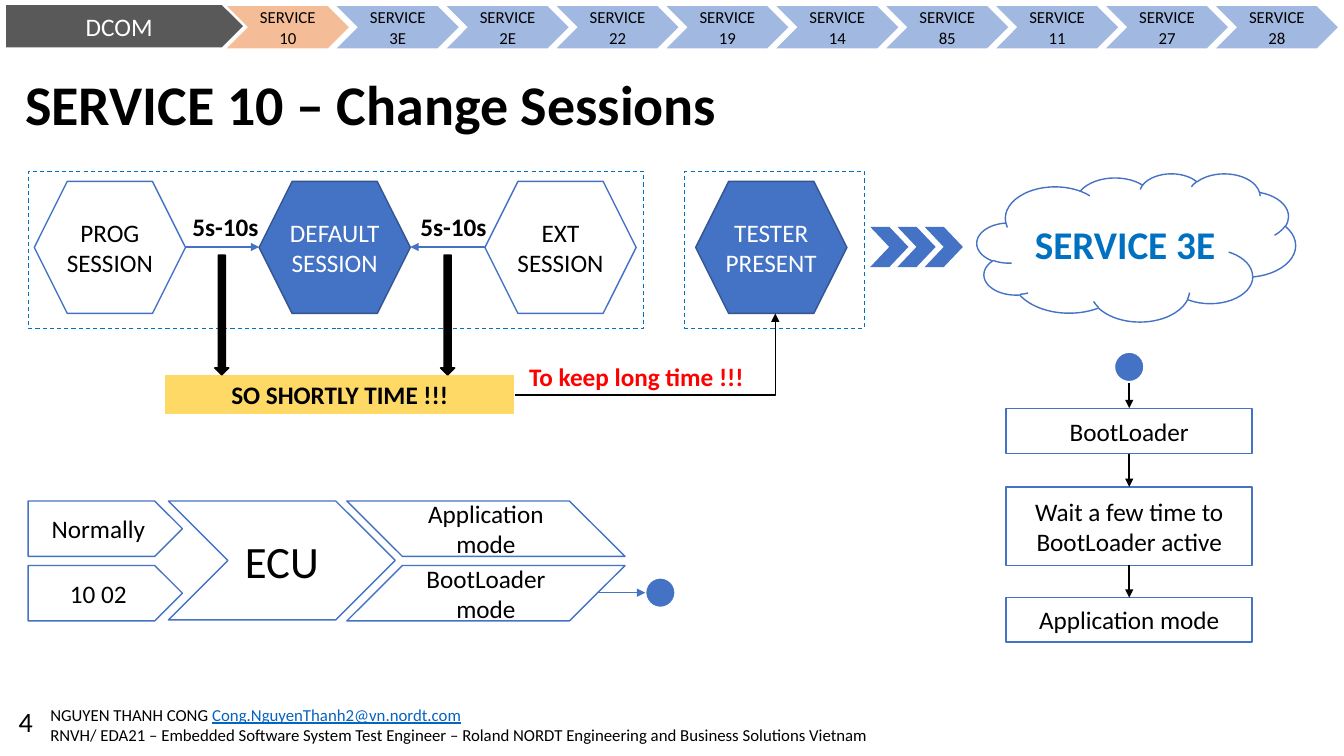
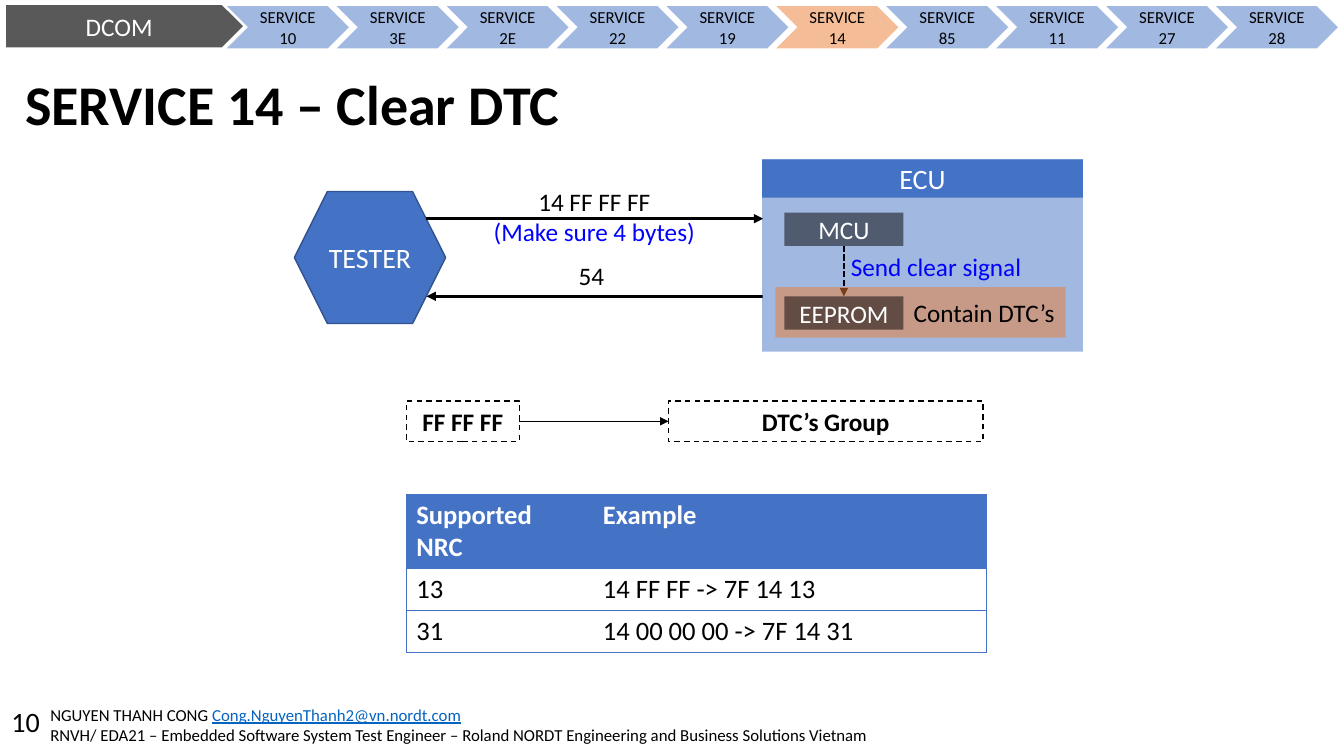
from dataclasses import dataclass
from typing import NamedTuple, Optional

import pptx
import pptx.dml.color
import pptx.enum.dml
import pptx.enum.shapes
import pptx.enum.text
import pptx.oxml.ns
import pptx.util
from lxml import etree

Inches = pptx.util.Inches
Shapes = pptx.enum.shapes.MSO_SHAPE
Connectors = pptx.enum.shapes.MSO_CONNECTOR
Dashes = pptx.enum.dml.MSO_LINE
Align = pptx.enum.text.PP_ALIGN
Anchor = pptx.enum.text.MSO_ANCHOR
qn = pptx.oxml.ns.qn


@dataclass(frozen=True)
class Theme:
    font: str = "Calibri"
    black: str = "000000"
    white: str = "FFFFFF"
    gray: str = "595959"
    blue: str = "4472C4"
    dark_blue: str = "325491"
    bright_blue: str = "0070C0"
    pure_blue: str = "0000FF"
    link: str = "0563C1"
    orange: str = "ED7D31"
    yellow: str = "FFD966"
    red: str = "FF0000"
    small: int = 12
    body: int = 18
    cell: int = 19
    large: int = 20
    cloud: int = 28
    unit: int = 32
    title: int = 40


THEME = Theme()
SERVICES = ("10", "3E", "2E", "22", "19", "14", "85", "11", "27", "28")
TOP, LEFT, BOTTOM, RIGHT = 0, 1, 2, 3


class Box(NamedTuple):
    left: float
    top: float
    width: float
    height: float

    def lengths(self) -> list:
        return [Inches(value) for value in self]


class Point(NamedTuple):
    x: float
    y: float


class Run(NamedTuple):
    text: str
    size: int = THEME.body
    color: str = THEME.black
    bold: bool = False
    underline: bool = False


class Line(NamedTuple):
    color: str
    width: float = 1
    dash: Optional[Dashes] = None


OUTLINE = Line(THEME.blue)
DARK_OUTLINE = Line(THEME.dark_blue)
THIN = Line(THEME.black)
FRAME = Line(THEME.bright_blue, 0.75, Dashes.DASH)
DASHED = Line(THEME.black, 1, Dashes.DASH)


def rgb(color: str) -> pptx.dml.color.RGBColor:
    return pptx.dml.color.RGBColor.from_string(color)


def write_text(text_frame, paragraphs: list[list[Run]], alignment=Align.CENTER) -> None:
    for index, runs in enumerate(paragraphs):
        paragraph = text_frame.paragraphs[0] if index == 0 else text_frame.add_paragraph()
        paragraph.alignment = alignment
        for item in runs:
            run = paragraph.add_run()
            run.text = item.text
            run.font.name = THEME.font
            run.font.size = pptx.util.Pt(item.size)
            run.font.bold = item.bold
            run.font.underline = item.underline
            run.font.color.rgb = rgb(item.color)


def style_line(line_format, line: Line) -> None:
    line_format.color.rgb = rgb(line.color)
    line_format.width = pptx.util.Pt(line.width)
    if line.dash is not None:
        line_format.dash_style = line.dash


def add_shape(slide, kind: Shapes, box: Box, fill: Optional[str] = None,
              line: Optional[Line] = None, runs: tuple[Run, ...] = (),
              opacity: int = 100):
    shape = slide.shapes.add_shape(kind, *box.lengths())
    shape.shadow.inherit = False
    if fill is None:
        shape.fill.background()
    else:
        shape.fill.solid()
        shape.fill.fore_color.rgb = rgb(fill)
        if opacity < 100:
            color = shape.element.spPr.find(qn("a:solidFill"))[0]
            etree.SubElement(color, qn("a:alpha"), val=str(opacity * 1000))
    if line is None:
        shape.line.fill.background()
    else:
        style_line(shape.line, line)
    if runs:
        shape.text_frame.vertical_anchor = Anchor.MIDDLE
        write_text(shape.text_frame, [[run] for run in runs])
    return shape


def add_text(slide, box: Box, paragraphs: list[list[Run]], alignment=Align.LEFT):
    shape = slide.shapes.add_textbox(*box.lengths())
    shape.text_frame.word_wrap = True
    write_text(shape.text_frame, paragraphs, alignment)
    return shape


def add_arrow(slide, begin: Point, end: Point, line: Line, kind=Connectors.STRAIGHT):
    points = [Inches(value) for value in (*begin, *end)]
    connector = slide.shapes.add_connector(kind, *points)
    style_line(connector.line, line)
    properties = connector.element.spPr
    etree.SubElement(properties.find(qn("a:ln")), qn("a:tailEnd"), type="triangle")
    etree.SubElement(properties, qn("a:effectLst"))
    return connector


def add_hexagon(slide, left: float, top: float, words: tuple[str, ...],
                filled: bool = True, size: int = THEME.body) -> None:
    color = THEME.white if filled else THEME.black
    shape = add_shape(slide, Shapes.HEXAGON, Box(left, top, 1.5, 1.31),
                      THEME.blue if filled else THEME.white,
                      DARK_OUTLINE if filled else OUTLINE,
                      tuple(Run(word, size, color) for word in words))
    shape.text_frame.word_wrap = False


def add_service_slide(presentation, number: int, service: str, subject: str):
    slide = presentation.slides.add_slide(presentation.slide_layouts[6])
    add_text(slide, Box(0, 6.94, 0.51, 0.4), [[Run(str(number), THEME.large)]], Align.CENTER)
    add_text(slide, Box(0.4, 6.94, 8.59, 0.4), [
        [Run("NGUYEN THANH CONG ", THEME.small),
         Run("Cong.NguyenThanh2@vn.nordt.com", THEME.small, THEME.link, underline=True)],
        [Run("RNVH/ EDA21 – Embedded Software System Test Engineer – "
             "Roland NORDT Engineering and Business Solutions Vietnam", THEME.small)],
    ])
    title = add_text(slide, Box(0.15, 0.49, 7.72, 0.92),
                     [[Run(f"SERVICE {service} – {subject}", THEME.title, bold=True)]])
    title.text_frame.vertical_anchor = Anchor.BOTTOM
    title.text_frame.paragraphs[0].line_spacing = 0.9
    add_shape(slide, Shapes.PENTAGON, Box(0.06, 0.05, 2.35, 0.42), THEME.gray,
              runs=(Run("DCOM", color=THEME.white),))
    for index, name in enumerate(SERVICES):
        add_shape(slide, Shapes.CHEVRON, Box(2.25 + 1.09 * index, 0.06, 1.21, 0.42),
                  THEME.orange if name == service else THEME.blue,
                  runs=(Run(f"SERVICE {name}", THEME.small),), opacity=50)
    return slide


def add_sessions(slide) -> None:
    add_hexagon(slide, 0.34, 1.8, ("PROG", "SESSION"), filled=False)
    add_hexagon(slide, 2.57, 1.8, ("DEFAULT", "SESSION"))
    add_hexagon(slide, 4.81, 1.8, ("EXT", "SESSION"), filled=False)
    add_hexagon(slide, 6.9, 1.8, ("TESTER", "PRESENT"))
    add_arrow(slide, Point(1.83, 2.45), Point(2.57, 2.45), Line(THEME.blue, 1.5))
    add_arrow(slide, Point(4.81, 2.45), Point(4.07, 2.45), OUTLINE)
    for box in (Box(0.28, 1.7, 6.1, 1.56), Box(6.79, 1.7, 1.78, 1.56)):
        add_shape(slide, Shapes.RECTANGLE, box, line=FRAME)
    add_shape(slide, Shapes.RECTANGLE, Box(1.63, 3.71, 3.48, 0.41), THEME.yellow,
              Line(THEME.white, 1.5), (Run("SO SHORTLY TIME !!!", bold=True),))
    for label_left, arrow_left in ((1.81, 2.13), (4.07, 4.37)):
        add_text(slide, Box(label_left, 2.05, 1.03, 0.4), [[Run("5s-10s", bold=True)]])
        add_shape(slide, Shapes.DOWN_ARROW, Box(arrow_left, 2.53, 0.14, 1.19),
                  THEME.black, THIN)
    elbow = add_arrow(slide, Point(5.11, 3.92), Point(7.69, 3.11), THIN, Connectors.ELBOW)
    adjustments = elbow.element.spPr.find(qn("a:prstGeom")).find(qn("a:avLst"))
    etree.SubElement(adjustments, qn("a:gd"), name="adj1", fmla="val 100000")
    add_text(slide, Box(5.15, 3.54, 3.23, 0.4),
             [[Run("To keep long time !!!", color=THEME.red, bold=True)]])
    for index in range(3):
        add_shape(slide, Shapes.CHEVRON, Box(8.63 + 0.27 * index, 2.25, 0.38, 0.4), THEME.blue)
    add_shape(slide, Shapes.CLOUD, Box(9.69, 1.72, 3.16, 1.47), THEME.white, OUTLINE,
              (Run("SERVICE 3E", THEME.cloud, THEME.bright_blue, True),))


def add_modes(slide) -> None:
    rows = (("Normally", "Application mode"), ("10 02", "BootLoader mode"))
    for index, (request, mode) in enumerate(rows):
        top = 4.97 + 0.64 * index
        add_shape(slide, Shapes.PENTAGON, Box(0.28, top, 1.53, 0.55), THEME.white,
                  OUTLINE, (Run(request),))
        result = add_shape(slide, Shapes.FLOWCHART_DATA, Box(3.44, top, 2.76, 0.55),
                           THEME.white, OUTLINE, (Run(mode),))
        if index == 0:
            result.element.spPr.find(qn("a:xfrm")).set("flipH", "1")
    add_shape(slide, Shapes.CHEVRON, Box(1.67, 4.97, 2.25, 1.18), THEME.white, OUTLINE,
              (Run("ECU", THEME.unit),))
    for left, top in ((6.4, 5.73), (11.05, 3.49)):
        add_shape(slide, Shapes.OVAL, Box(left, top, 0.3, 0.3), THEME.blue,
                  Line(THEME.white, 1.5))
    add_arrow(slide, Point(5.92, 5.88), Point(6.4, 5.88), OUTLINE)


def add_boot_flow(slide) -> None:
    steps = ((4.05, 0.45, "BootLoader"),
             (4.83, 0.78, "Wait a few time to BootLoader active"),
             (5.93, 0.44, "Application mode"))
    previous, bottom = None, 3.8
    for top, height, words in steps:
        step = add_shape(slide, Shapes.RECTANGLE, Box(9.98, top, 2.44, height),
                         THEME.white, OUTLINE, (Run(words),))
        arrow = add_arrow(slide, Point(11.2, bottom), Point(11.2, top), Line(THEME.black, 1.25))
        if previous is not None:
            arrow.begin_connect(previous, BOTTOM)
        arrow.end_connect(step, TOP)
        previous, bottom = step, top + height


def add_clear_request(slide) -> None:
    add_hexagon(slide, 2.92, 1.9, ("TESTER",), size=THEME.large)
    thick = Line(THEME.black, 2.25)
    add_arrow(slide, Point(4.23, 2.17), Point(7.57, 2.17), thick)
    add_arrow(slide, Point(7.57, 2.94), Point(4.23, 2.94), thick)
    add_text(slide, Box(4.61, 1.8, 2.57, 0.71),
             [[Run("14 FF FF FF")], [Run("(Make sure 4 bytes)", color=THEME.pure_blue)]],
             Align.CENTER)
    add_text(slide, Box(5.64, 2.53, 0.53, 0.4), [[Run("54")]])

    def block(box: Box, fill: str, *runs: Run, opacity: int = 50):
        return add_shape(slide, Shapes.RECTANGLE, box, fill, runs=runs, opacity=opacity)

    block(Box(7.56, 1.58, 3.18, 1.91), THEME.blue)
    block(Box(7.56, 1.58, 3.18, 0.38), THEME.blue,
          Run("ECU", THEME.large, THEME.white), opacity=100)
    mcu = block(Box(7.78, 2.11, 1.18, 0.33), THEME.black, Run("MCU", color=THEME.white))
    signal = add_arrow(slide, Point(8.37, 2.44), Point(8.37, 2.94),
                       Line(THEME.black, 1.5, Dashes.SQUARE_DOT))
    block(Box(7.69, 2.85, 2.88, 0.5), THEME.orange)
    eeprom = block(Box(7.78, 2.94, 1.18, 0.33), THEME.black, Run("EEPROM", color=THEME.white))
    signal.begin_connect(mcu, BOTTOM)
    signal.end_connect(eeprom, TOP)
    add_text(slide, Box(8.95, 2.9, 1.62, 0.4), [[Run("Contain DTC’s")]], Align.CENTER)
    add_text(slide, Box(8.34, 2.44, 2.29, 0.4),
             [[Run("Send clear signal", color=THEME.pure_blue)]])
    code, group = [
        add_shape(slide, Shapes.RECTANGLE, Box(left, 3.98, width, 0.4), THEME.white,
                  DASHED, (Run(words, bold=True),))
        for left, width, words in ((4.03, 1.12, "FF FF FF"), (6.63, 3.12, "DTC’s Group"))]
    meaning = add_arrow(slide, Point(5.15, 4.18), Point(6.63, 4.18), Line(THEME.black, 0.5))
    meaning.begin_connect(code, RIGHT)
    meaning.end_connect(group, LEFT)


def add_border(cell, side: str, visible: bool) -> None:
    border = etree.SubElement(cell._tc.get_or_add_tcPr(), qn(f"a:ln{side}"), w="6350")
    if visible:
        fill = etree.SubElement(border, qn("a:solidFill"))
        etree.SubElement(fill, qn("a:srgbClr"), val=THEME.blue)
    else:
        etree.SubElement(border, qn("a:noFill"))


def add_response_table(slide) -> None:
    rows = (("Supported NRC", "Example"),
            ("13", "14 FF FF -> 7F 14 13"),
            ("31", "14 00 00 00 -> 7F 14 31"))
    table = slide.shapes.add_table(3, 2, *Box(4.03, 4.9, 5.75, 1.57).lengths()).table
    table.horz_banding = False
    for column, width in zip(table.columns, (1.85, 3.9)):
        column.width = Inches(width)
    for row, height in zip(table.rows, (0.73, 0.42, 0.42)):
        row.height = Inches(height)
    for row_index, values in enumerate(rows):
        header = row_index == 0
        for column_index, value in enumerate(values):
            cell = table.cell(row_index, column_index)
            for side, visible in (("L", column_index == 0), ("R", column_index == 1),
                                  ("T", True), ("B", True)):
                add_border(cell, side, visible)
            cell.fill.solid()
            cell.fill.fore_color.rgb = rgb(THEME.blue if header else THEME.white)
            color = THEME.white if header else THEME.black
            write_text(cell.text_frame, [[Run(value, THEME.cell, color, header)]], Align.LEFT)


def main() -> None:
    presentation = pptx.Presentation()
    presentation.slide_width = Inches(13.33)
    presentation.slide_height = Inches(7.5)
    sessions = add_service_slide(presentation, 4, "10", "Change Sessions")
    add_sessions(sessions)
    add_modes(sessions)
    add_boot_flow(sessions)
    clearing = add_service_slide(presentation, 10, "14", "Clear DTC")
    add_clear_request(clearing)
    add_response_table(clearing)
    presentation.save("out.pptx")


if __name__ == "__main__":
    main()
